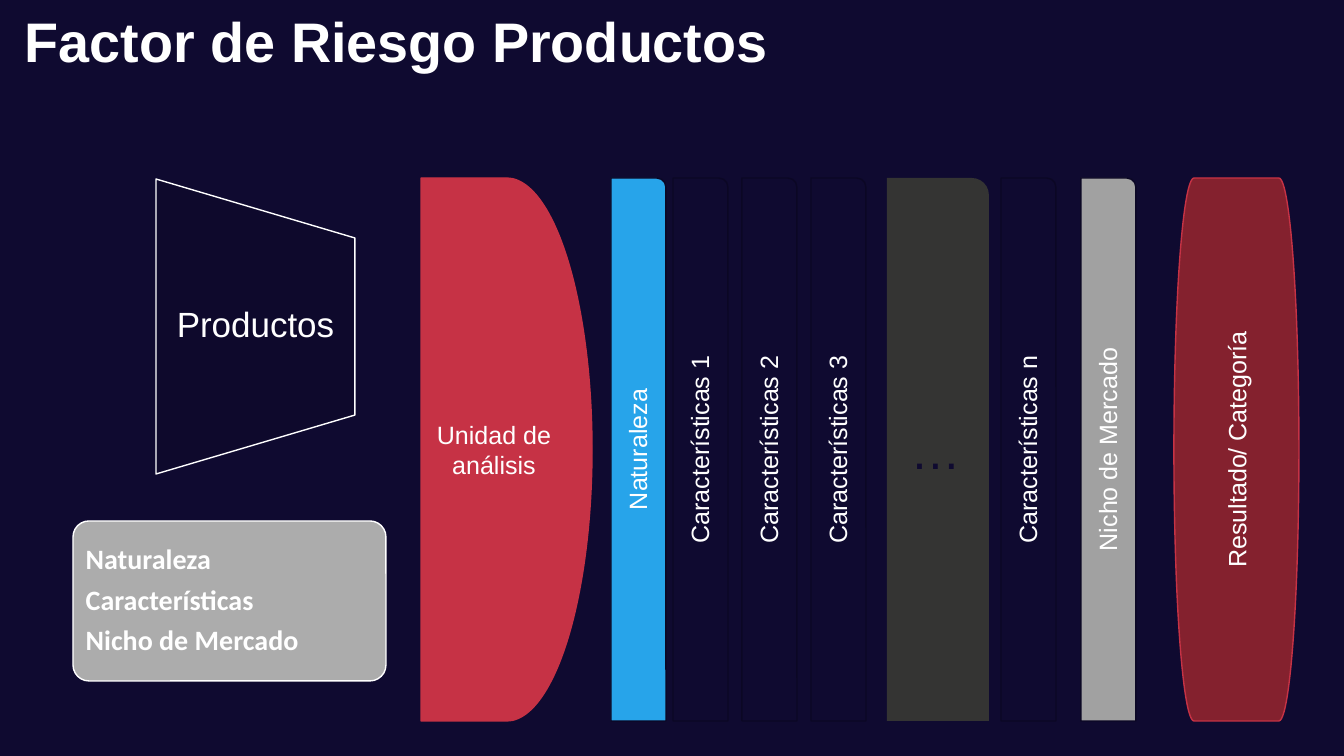
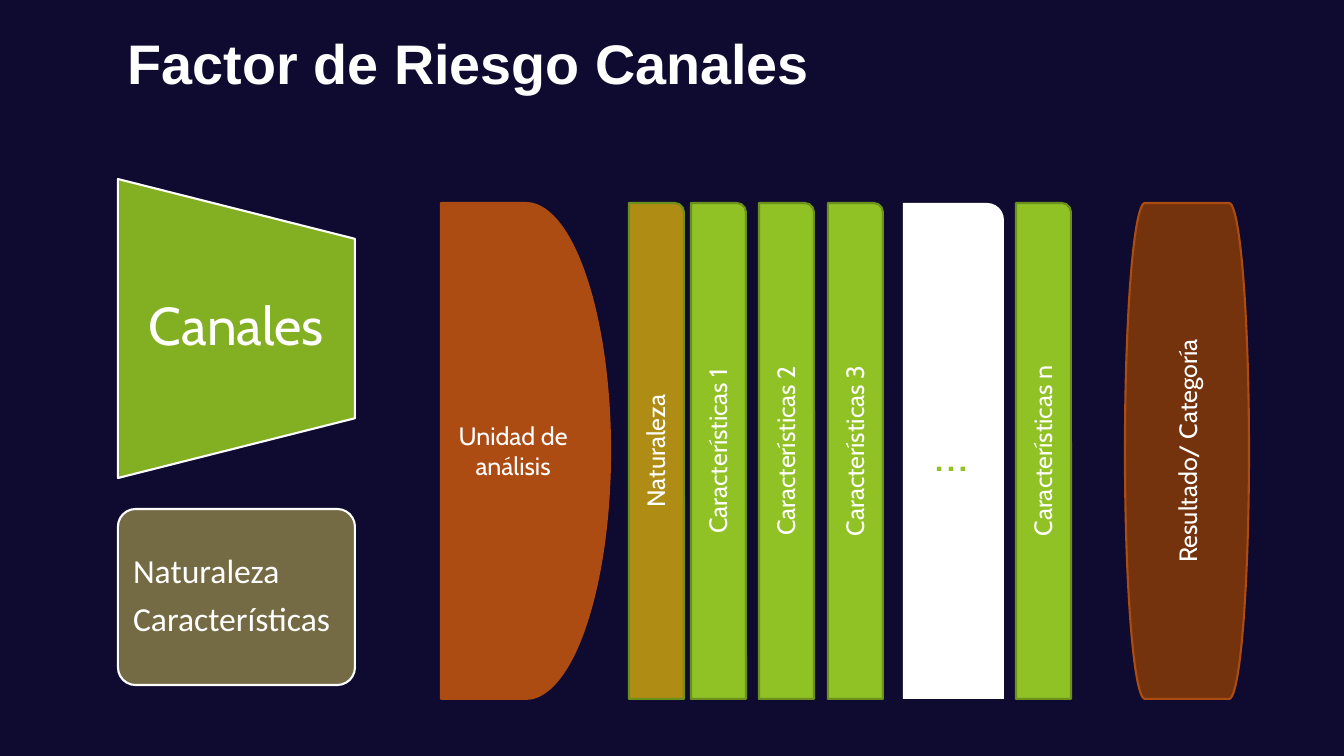
import pptx
import pptx.util
import pptx.dml.color
import pptx.enum.shapes
import pptx.enum.text

PX = 914400 / 100.8
KIND = pptx.enum.shapes.MSO_SHAPE
ALIGN = pptx.enum.text.PP_ALIGN
INK = {
    "night": "0F0A30", "white": "FFFFFF", "deep": "0E092C", "edge": "0B0724",
    "silver": "ACACAC", "gray": "A1A1A1", "coal": "343433", "blue": "27A4EA",
    "red": "C63245", "wine": "84212E", "leaf": "83B022", "lime": "90C226",
    "moss": "6B901C", "olive": "746B44", "gold": "AF8C14",
    "rust": "AD4C12", "brown": "74330C",
}
RGB = {name: pptx.dml.color.RGBColor.from_string(code) for name, code in INK.items()}


def write(shape, text, size, font="Arial", color="white", bold=False,
          align=ALIGN.CENTER, line=None, after=0, inset=(10, 5), turn=False):
    frame = shape.text_frame
    frame.word_wrap = True
    frame.vertical_anchor = pptx.enum.text.MSO_ANCHOR.MIDDLE
    frame.margin_left = frame.margin_right = int(inset[0] * PX)
    frame.margin_top = frame.margin_bottom = int(inset[1] * PX)
    if turn:
        shape.element.txBody.bodyPr.set("vert", "vert270")
    frame.text = text
    for para in frame.paragraphs:
        para.alignment = align
        para.line_spacing = line
        para.space_after = pptx.util.Pt(size * after)
        para.font.size = pptx.util.Pt(size)
        para.font.name = font
        para.font.bold = bold
        para.font.color.rgb = RGB[color]


def draw(slide, kind, box, fill, edge, width):
    shape = slide.shapes.add_shape(kind, *[int(n * PX) for n in box])
    shape.shadow.inherit = False
    shape.fill.solid()
    shape.fill.fore_color.rgb = RGB[fill]
    if edge:
        shape.line.color.rgb = RGB[edge]
        shape.line.width = pptx.util.Pt(width)
    else:
        shape.line.fill.background()
    return shape


PAGES = [
    dict(
        title="Factor de Riesgo Productos", spot=(15, 17), font="Arial", width=1,
        funnel=("Productos", 25, (156, 179, 199, 295), "deep", 17),
        notes=("Naturaleza\nCaracterísticas\nNicho de Mercado", 20, True,
               (73, 521, 313, 160), "silver", 8),
        top=178, tall=543, edge="edge",
        unit=(421, 171, "red"),
        bars=[("Naturaleza", 611, "blue"), ("Características 1", 673, "night"),
              ("Características 2", 742, "night"), ("Características 3", 811, "night"),
              ("Características n", 1001, "night"), ("Nicho de Mercado", 1081, "gray")],
        dots=(887, 102, "coal", "night"),
        result=(1174, 125, "wine"),
    ),
    dict(
        title="Factor de Riesgo Canales", spot=(118, 39), font="Cabin", width=1.5,
        funnel=("Canales", 38, (118, 179, 237, 299), "leaf", 26),
        notes=("Naturaleza\nCaracterísticas", 24, False,
               (118, 509, 237, 176), "olive", 10),
        top=203, tall=496, edge="moss",
        unit=(441, 169, "rust"),
        bars=[("Naturaleza", 629, "gold"), ("Características 1", 691, "lime"),
              ("Características 2", 759, "lime"), ("Características 3", 828, "lime"),
              ("Características n", 1016, "lime")],
        dots=(903, 101, "white", "lime"),
        result=(1125, 124, "brown"),
    ),
]

deck = pptx.Presentation()
deck.slide_width = int(1344 * PX)
deck.slide_height = int(756 * PX)

for page in PAGES:
    slide = deck.slides.add_slide(deck.slide_layouts[6])
    slide.background.fill.solid()
    slide.background.fill.fore_color.rgb = RGB["night"]
    font, width, top, tall = (page[key] for key in ("font", "width", "top", "tall"))

    title = slide.shapes.add_textbox(*[int(n * PX) for n in (*page["spot"], 1053, 54)])
    write(title, page["title"], 39.8, bold=True, align=ALIGN.LEFT, line=0.9)

    text, size, box, fill, inset = page["funnel"]
    x, y, w, h = box
    funnel = draw(slide, KIND.FLOWCHART_MANUAL_OPERATION,
                  (x + (w - h) / 2, y + (h - w) / 2, h, w), fill, "white", width)
    funnel.rotation = 270
    label = slide.shapes.add_textbox(*[int(n * PX) for n in box])
    write(label, text, size, font, line=0.9, after=0.35, inset=(inset, 0))

    text, size, bold, box, fill, inset = page["notes"]
    notes = draw(slide, KIND.ROUNDED_RECTANGLE, box, fill, "white", width)
    notes.adjustments[0] = 0.1
    write(notes, text, size, "Calibri", bold=bold, align=ALIGN.LEFT,
          line=0.9, after=0.35, inset=(inset, inset))

    x, w, tone = page["unit"]
    unit = draw(slide, KIND.FLOWCHART_DELAY, (x, top, w, tall), tone, tone, width)
    write(unit, "Unidad de análisis", 17.9, font)

    for text, x, fill in page["bars"]:
        bar = draw(slide, KIND.ROUND_1_RECTANGLE, (x, top, 55, tall),
                   fill, page["edge"], width)
        write(bar, text, 17.9, font, turn=True)

    x, w, fill, color = page["dots"]
    dots = draw(slide, KIND.ROUND_1_RECTANGLE, (x, top, w, tall), fill, None, width)
    write(dots, "…", 35.9, font, color)

    x, w, fill = page["result"]
    result = draw(slide, KIND.FLOWCHART_TERMINATOR, (x, top, w, tall), fill, tone, width)
    write(result, "Resultado/ Categoría", 17.9, font, turn=True)

deck.save("out.pptx")
